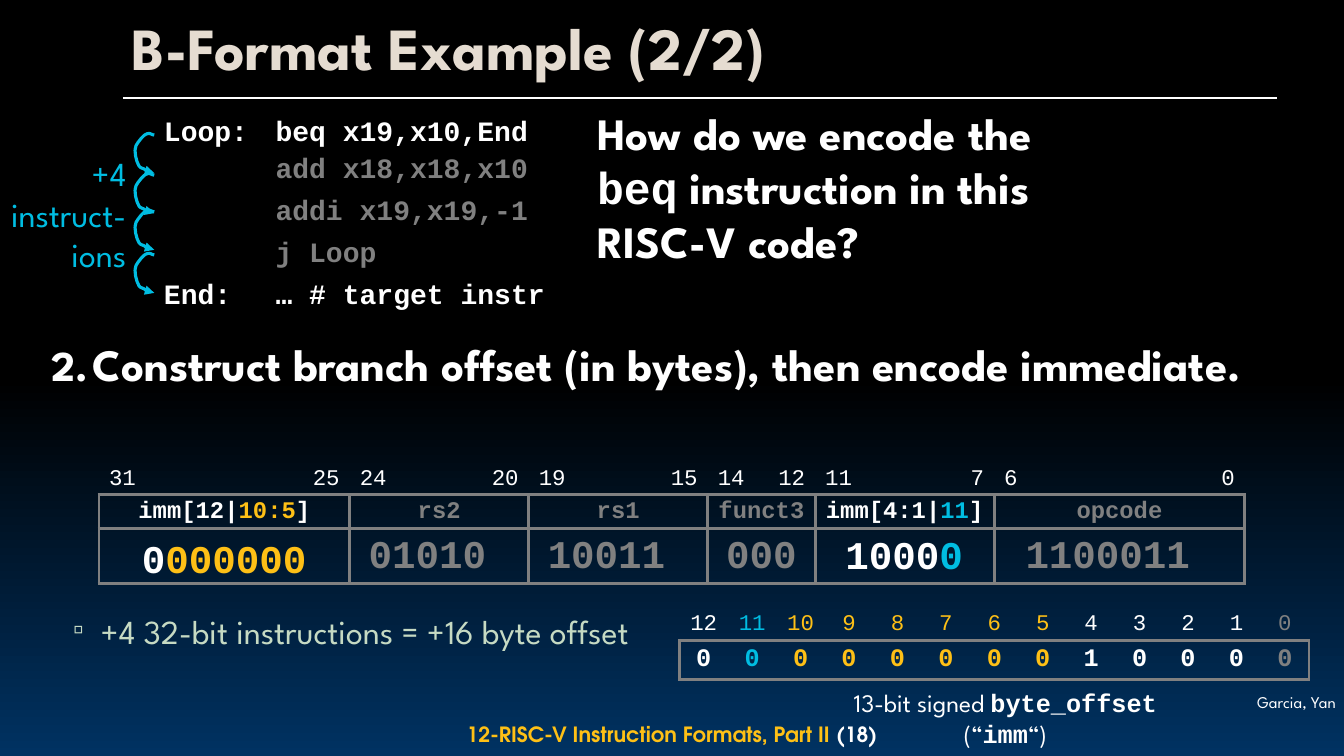
from dataclasses import dataclass
from typing import NamedTuple, Optional

from lxml.etree import SubElement
from pptx import Presentation
from pptx.dml.color import RGBColor
from pptx.enum.text import MSO_ANCHOR as Anchor, MSO_AUTO_SIZE as AutoSize, PP_ALIGN as Align
from pptx.oxml import parse_xml
from pptx.oxml.ns import nsdecls, qn
from pptx.util import Inches, Pt

# The grid has 100 columns and 100 rows
SLIDE_WIDTH, SLIDE_HEIGHT = Inches(13.33), Inches(7.5)
SPARTAN, COURIER, ADVENTOR = "League Spartan", "Courier New", "TeX Gyre Adventor"
WHITE, GRAY, GOLD, CYAN = "FFFFFF", "808080", "FEC016", "00BDE2"
SAND, MINT, BLACK, NAVY = "E5DCD1", "C6DAC3", "000000", "003262"
NO_STYLE_TABLE = "{2D5ABB26-0587-4C30-8999-92F81FD0307C}"


class Box(NamedTuple):
    left: float
    top: float
    width: float
    height: float


class Run(NamedTuple):
    text: str
    color: Optional[str] = None
    font: Optional[str] = None
    bold: Optional[bool] = None


@dataclass
class Text:
    runs: list[Run]
    size: float
    font: str = SPARTAN
    color: str = WHITE
    bold: bool = False
    align: Align = Align.LEFT
    spacing: float = 1
    anchor: Anchor = Anchor.TOP
    margin: float = 0
    hanging: float = 0
    bullet: str = "<a:buNone {}/>"
    bullet_size: int = 100
    bullet_font: str = SPARTAN


class Field(NamedTuple):
    high: int
    low: int
    columns: list[float]
    name: list[Run]
    bits: str
    color: str = GRAY


def across(columns: float) -> int:
    return round(SLIDE_WIDTH * columns / 100)


def down(rows: float) -> int:
    return round(SLIDE_HEIGHT * rows / 100)


def place(box: Box) -> tuple[int, int, int, int]:
    return across(box.left), down(box.top), across(box.width), down(box.height)


def rgb(color: str) -> RGBColor:
    return RGBColor.from_string(color)


def write(frame, text: Text) -> None:
    paragraph = frame.paragraphs[0]
    paragraph.alignment, paragraph.line_spacing = text.align, text.spacing
    paragraph.space_before = Pt(0)
    properties = paragraph._p.get_or_add_pPr()
    properties.set("marL", str(Inches(text.margin)))
    properties.set("indent", str(-Inches(text.hanging)))
    if text.hanging:
        SubElement(properties, qn("a:buSzPct"), val=str(text.bullet_size * 1000))
        SubElement(properties, qn("a:buFont"), typeface=text.bullet_font)
    properties.append(parse_xml(text.bullet.format(nsdecls("a"))))
    font = paragraph.font
    font.size, font.name, font.bold = Pt(text.size), text.font, text.bold
    font.color.rgb = rgb(text.color)
    for part in text.runs:
        if part.text == "\n":
            paragraph.add_line_break()
            continue
        run = paragraph.add_run()
        run.text = part.text
        if part.color:
            run.font.color.rgb = rgb(part.color)
        if part.font:
            run.font.name = part.font
        if part.bold is not None:
            run.font.bold = part.bold


def fill_frame(shape, text: Text) -> None:
    frame = shape.text_frame
    frame.word_wrap, frame.auto_size = True, AutoSize.NONE
    frame.vertical_anchor = text.anchor
    write(frame, text)


def add_text(slide, box: Box, text: Text):
    shape = slide.shapes.add_textbox(*place(box))
    fill_frame(shape, text)
    return shape


def fill_placeholder(shape, box: Box, text: Text) -> None:
    shape.left, shape.top, shape.width, shape.height = place(box)
    fill_frame(shape, text)


def add_grid(slide, left: float, top: float, columns: list[float], rows: list[float]):
    box = Box(left, top, sum(columns), sum(rows))
    table = slide.shapes.add_table(len(rows), len(columns), *place(box)).table
    table._tbl.tblPr.find(qn("a:tableStyleId")).text = NO_STYLE_TABLE
    table.first_row = table.horz_banding = False
    for column, width in zip(table.columns, columns):
        column.width = across(width)
    for row, height in zip(table.rows, rows):
        row.height = down(height)
    return table


def fill_cell(cell, text: Text, sides: str = "") -> None:
    cell.fill.background()
    cell.vertical_anchor = text.anchor
    write(cell.text_frame, text)
    for position, side in enumerate(sides):  # sides follow the order L, R, T, B
        cell._tc.get_or_add_tcPr().insert(position, parse_xml(
            f'<a:ln{side} {nsdecls("a")} w="{Pt(2.25)}"><a:solidFill>'
            f'<a:srgbClr val="{GRAY}"/></a:solidFill></a:ln{side}>'))


def curve_points(start: tuple, curves: list[tuple], steps: int = 3) -> list[tuple]:
    points = [start]
    for first, second, end in curves:
        origin = points[-1]
        for t in (step / steps for step in range(1, steps + 1)):
            weights = (1 - t) ** 3, 3 * t * (1 - t) ** 2, 3 * t * t * (1 - t), t ** 3
            corners = list(zip(origin, first, second, end))
            points.append(tuple(sum(w * c for w, c in zip(weights, axis)) for axis in corners))
    return points


def add_jump_arrow(slide, box: Box, outline: list[tuple]) -> None:
    points = [(across(box.left + x * box.width), down(box.top + y * box.height)) for x, y in outline]
    builder = slide.shapes.build_freeform(*points[0])
    builder.add_line_segments(points[1:], close=False)
    arrow = builder.convert_to_shape()
    arrow.shadow.inherit = False
    arrow.fill.background()
    arrow.line.color.rgb, arrow.line.width = rgb(CYAN), Pt(2.25)
    SubElement(arrow.line._get_or_add_ln(), qn("a:tailEnd"), type="triangle")


def main() -> None:
    presentation = Presentation()
    presentation.slide_width, presentation.slide_height = SLIDE_WIDTH, SLIDE_HEIGHT
    slide = presentation.slides.add_slide(presentation.slide_layouts[1])

    # Background: black to navy over the lower half
    background = slide.background.fill
    background.gradient()
    background.gradient_angle = 270
    for stop, position, color in zip(background.gradient_stops, (0.5, 1), (BLACK, NAVY)):
        stop.position, stop.color.rgb = position, rgb(color)

    # Credit, footer and title rule
    credit = add_text(slide, Box(89.2, 91.1, 10.8, 3.5), Text([Run("Garcia, Yan")], 11.7, align=Align.RIGHT))
    credit.text_frame.margin_left = credit.text_frame.margin_right = Inches(0.08)
    credit.text_frame.margin_top = credit.text_frame.margin_bottom = Inches(0.03)
    add_text(slide, Box(18.4, 94.9, 63.2, 4.3), Text(
        [Run("12-RISC-V Instruction Formats, Part II "), Run("(18)", WHITE)],
        15, ADVENTOR, GOLD, True, Align.CENTER, anchor=Anchor.MIDDLE))
    rule = slide.shapes.add_connector(1, across(9.15), down(12.95), across(95), down(12.95))
    rule.line.color.rgb, rule.line.width = rgb(WHITE), Pt(1.5)
    SubElement(rule._element.spPr, qn("a:effectLst"))

    # Title and question
    title, question = slide.placeholders
    fill_placeholder(title, Box(9.05, 1.1, 86.2, 11.2), Text(
        [Run("B-Format Example (2/2)")], 42.7, color=SAND, bold=True, spacing=0.9, anchor=Anchor.MIDDLE))
    fill_placeholder(question, Box(43, 13.35, 36.6, 24.1), Text(
        [Run("How do we encode the"), Run("\n"), Run("beq", font=COURIER),
         Run(" instruction in this RISC-V code?")], 32, bold=True, margin=0.09))

    # Assembly code
    code = [("Loop:", "beq x19,x10,End", WHITE), ("", "add x18,x18,x10", GRAY),
            ("", "addi x19,x19,-1", GRAY), ("", "j Loop", GRAY), ("End:", "… # target instr", WHITE)]
    listing = add_grid(slide, 11.45, 15.2, [8.3, 22.4], [4.9, 5.5, 5.5, 5.5, 4.9])
    for row, (label, instruction, color) in enumerate(code):
        for column, words in enumerate((label, instruction)):
            runs = [Run(words)] if words else []
            fill_cell(listing.cell(row, column), Text(runs, 20, COURIER, color, True, spacing=0.85))

    # One arrow for each instruction jumped over, in shares of its box
    outline = curve_points((1, 0.04), [
        ((0.9, 0.04), (0.8, 0), (0.74, 0)), ((0.64, 0), (0.56, 0.02), (0.47, 0.05)),
        ((0.37, 0.08), (0.1, 0.25), (0.05, 0.3)), ((0.05, 0.32), (0, 0.38), (0, 0.42)),
        ((0, 0.55), (0.1, 0.72), (0.21, 0.8)), ((0.26, 0.84), (0.37, 0.85), (0.47, 0.87))])
    outline += [(0.74, 0.97), (0.84, 1), (1, 0.97)]
    for top in (33.5, 27.8, 22.95, 17.65):
        add_jump_arrow(slide, Box(10.05, top, 1.43, 5.4), outline)
    add_text(slide, Box(0, 19.6, 10.13, 17.5), Text([Run("+4 instruct-ions")], 24, color=CYAN, align=Align.RIGHT))

    # Instruction fields: column widths are counted in bits
    wide, middle, narrow = [2, 1, 1, 1, 2], [2, 1, 2], [1.5, 1.5]
    fields = [
        Field(31, 25, wide, [Run("imm[12|"), Run("10:5", GOLD), Run("]")], "", WHITE),
        Field(24, 20, middle, [Run("rs2")], "01010 "),
        Field(19, 15, middle, [Run("rs1")], "10011 "),
        Field(14, 12, narrow, [Run("funct3")], "000 "),
        Field(11, 7, middle, [Run("imm[4:1|"), Run("11", CYAN), Run("]")], "", WHITE),
        Field(6, 0, wide, [Run("opcode")], "1100011 ")]
    bit_width = 85.28 / 32
    widths = [bits * bit_width for field in fields for bits in field.columns]
    encoding = add_grid(slide, 7.37, 60.65, widths, [4.8, 4.5, 7.2])
    first = 0
    for field in fields:
        last = first + len(field.columns) - 1
        ends = {first: (field.high, Align.LEFT), last: (field.low, Align.RIGHT)}
        for column in range(first, last + 1):
            number, align = ends.get(column, (None, Align.LEFT))
            runs = [] if number is None else [Run(str(number))]
            fill_cell(encoding.cell(0, column), Text(
                runs, 16, COURIER, align=align, spacing=0.9, anchor=Anchor.BOTTOM))
        bits = [Run(field.bits)] if field.bits else []
        rows = [Text(field.name, 17, COURIER, field.color, True, Align.CENTER, 0.85),
                Text(bits, 28, COURIER, field.color, True, Align.CENTER, 0.9, Anchor.MIDDLE)]
        for row, text in enumerate(rows, 1):
            encoding.cell(row, first).merge(encoding.cell(row, last))
            fill_cell(encoding.cell(row, first), text, "LRTB")
        first = last + 1

    # Step and its explanation
    add_text(slide, Box(2.4, 43.9, 94.5, 8.5), Text(
        [Run("Construct branch offset (in bytes), then encode immediate.")], 32, bold=True, margin=0.5,
        hanging=0.41, bullet='<a:buAutoNum {} type="arabicPeriod" startAt="2"/>', bullet_size=95))
    add_text(slide, Box(4.43, 80.8, 48.5, 6.1), Text(
        [Run("+4 32-bit instructions = +16 byte offset")], 24, color=MINT, spacing=0.9, margin=0.31,
        hanging=0.31, bullet='<a:buChar {} char="▫"/>', bullet_size=90, bullet_font=COURIER))

    # Byte offset: bit numbers over an outlined row that holds the bit values
    offset = "0000000010000"
    colors = [WHITE, CYAN] + [GOLD] * 6 + [WHITE] * 4 + [GRAY]
    columns = [46.88 / len(offset)] * len(offset)
    numbers = add_grid(slide, 50.56, 80.1, columns, [4.6, 5])
    values = add_grid(slide, 50.56, 84.8, columns, [5.1])
    for column, (bit, color) in enumerate(zip(offset, colors)):
        number = len(offset) - 1 - column
        sides = ("L" if column == 0 else "") + ("R" if number == 0 else "") + "TB"
        fill_cell(numbers.cell(0, column), Text(
            [Run(str(number))], 16, COURIER, color, False, Align.CENTER, 0.9, Anchor.BOTTOM))
        for cell, runs in ((numbers.cell(1, column), []), (values.cell(0, column), [Run(bit)])):
            fill_cell(cell, Text(runs, 18, COURIER, color, True, Align.CENTER, 0.9), sides)

    # Bits of the two immediate fields, and the caption of the offset
    add_text(slide, Box(9.83, 70, 13.9, 7.6), Text([Run("0"), Run("000000", GOLD)], 28, COURIER, bold=True))
    add_text(slide, Box(62.1, 70.2, 10.35, 7.2), Text(
        [Run("1000"), Run("0", CYAN)], 28, COURIER, WHITE, True, Align.CENTER, 0.9))
    add_text(slide, Box(61.3, 90.3, 27, 9.5), Text(
        [Run("13-bit signed "), Run("byte_offset", font=COURIER, bold=True), Run(" (“"),
         Run("imm", font=COURIER, bold=True), Run("“)")], 18, align=Align.CENTER))

    presentation.save("out.pptx")


if __name__ == "__main__":
    main()
